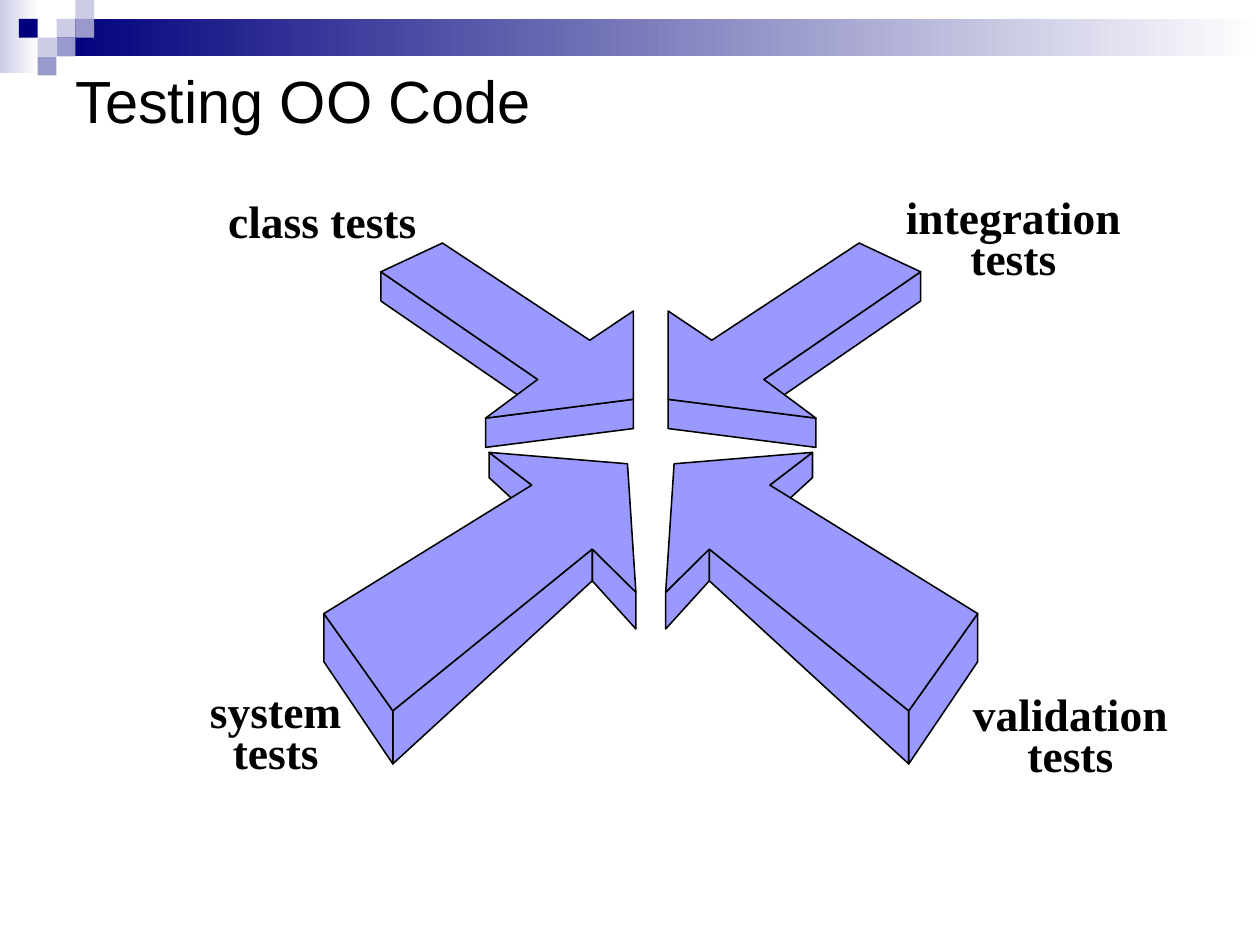
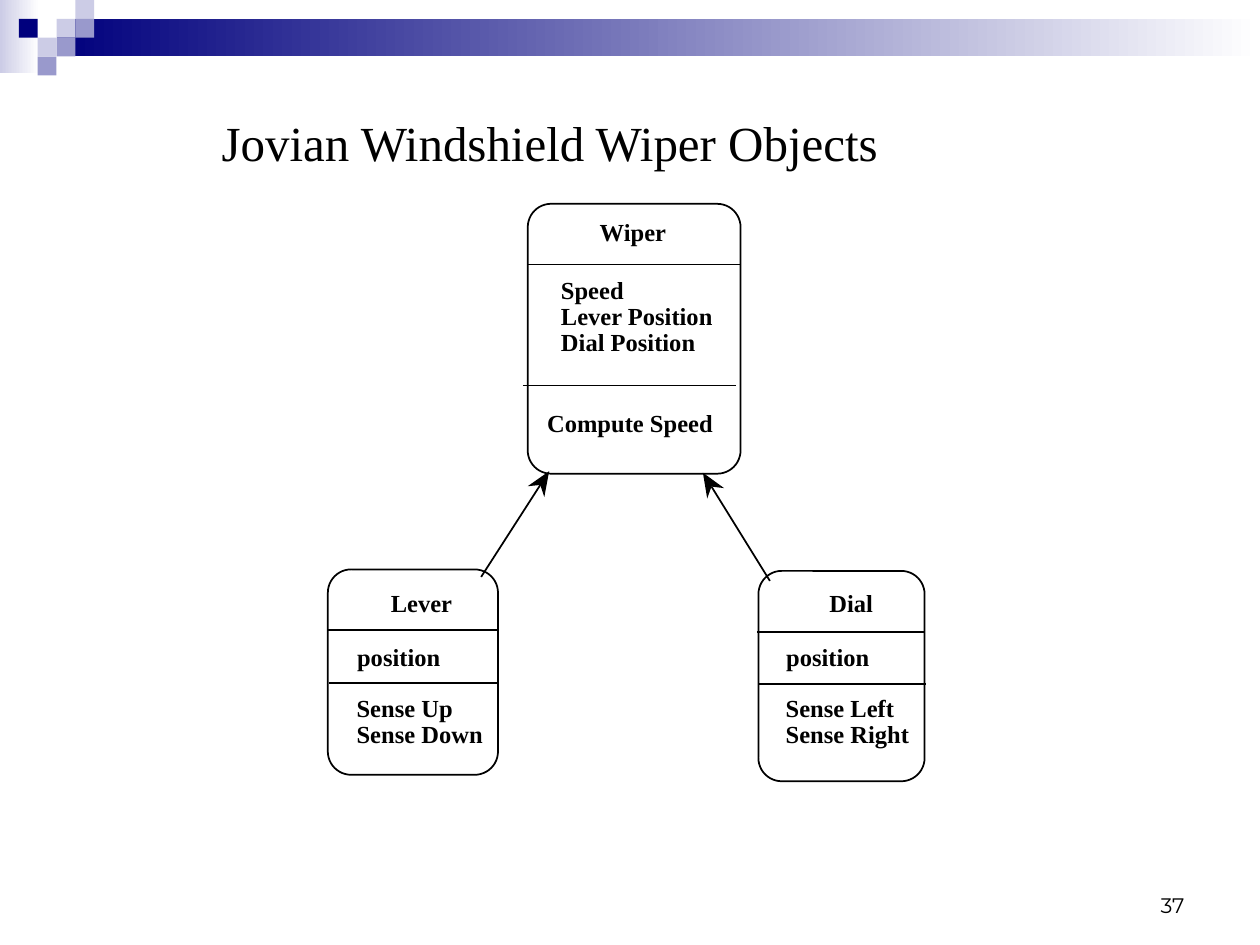
import math

import pptx
import pptx.util
import pptx.dml.color
import pptx.enum.shapes
import pptx.enum.text
import pptx.oxml.ns
import lxml.etree

Cm, Pt = pptx.util.Cm, pptx.util.Pt
SHAPE = pptx.enum.shapes.MSO_SHAPE
ALIGN = pptx.enum.text.PP_ALIGN
ANCHOR = pptx.enum.text.MSO_ANCHOR
qn = pptx.oxml.ns.qn

COLORS = {
    "ink": "000000",
    "paper": "FFFFFF",
    "navy": "00007D",
    "mid": "9999CC",
    "light": "CCCCE6",
    "arrow": "9999FF",
}
SANS, SERIF, NUMBER_FONT = "Arial", "Times New Roman", "Montserrat"

TILE = 0.38
TILES = [  # column, row, colour
    (3, 1, "light"), (4, 0, "light"), (4, 1, "mid"), (2, 2, "light"),
    (1, 1, "navy"), (3, 2, "mid"), (2, 3, "mid"),
]

MIRROR_AXIS = 13.12
# Top face of each left-hand arrow: x, y and the depth of the block there.
UPPER_ARROW = [
    (7.68, 5.48, 0.59), (8.92, 4.9, 0.59), (11.89, 6.86, 0.59),
    (12.77, 6.27, 0.59), (12.77, 8.05, 0.59), (9.79, 8.43, 0.59),
    (10.84, 7.65, 0.59),
]
UPPER_SIDES = [(6, 0), (4, 5)]
LOWER_ARROW = [
    (6.53, 12.37, 0.97), (10.72, 9.78, 0.64), (9.86, 9.12, 0.51),
    (12.65, 9.35, 0.6), (12.82, 11.94, 0.74), (11.94, 11.07, 0.64),
    (7.92, 14.33, 1.07),
]
LOWER_SIDES = [(1, 2), (4, 5), (5, 6), (6, 0)]

HEAD_LENGTH, HEAD_NOTCH, HEAD_HALF_WIDTH = 0.49, 0.33, 0.2


def rgb(name):
    return pptx.dml.color.RGBColor.from_string(COLORS[name])


def paint(sp, fill, line=None, width=1):
    sp.shadow.inherit = False
    sp.fill.solid()
    sp.fill.fore_color.rgb = rgb(fill)
    if line:
        sp.line.color.rgb = rgb(line)
        sp.line.width = Pt(width)
    else:
        sp.line.fill.background()


def add_block(slide, x, y, w, h, fill, line=None, shape=SHAPE.RECTANGLE):
    sp = slide.shapes.add_shape(shape, Cm(x), Cm(y), Cm(w), Cm(h))
    paint(sp, fill, line)
    return sp


def add_fade(slide, x, y, w, h, start):
    """A rectangle that fades from the start colour to paper, left to right."""
    sp = add_block(slide, x, y, w, h, start)
    sp.fill.gradient()
    sp.fill.gradient_angle = 0
    for stop, name, position in zip(sp.fill.gradient_stops, (start, "paper"), (0, 1)):
        stop.color.rgb = rgb(name)
        stop.position = position


def add_text(slide, x, y, w, h, text, size, font, bold=False, align=ALIGN.LEFT,
             anchor=ANCHOR.TOP, inset=(0, 0), spacing=None, wrap=False):
    tf = slide.shapes.add_textbox(Cm(x), Cm(y), Cm(w), Cm(h)).text_frame
    tf.word_wrap = wrap
    tf.vertical_anchor = anchor
    tf.margin_left = tf.margin_right = Cm(inset[0])
    tf.margin_top = tf.margin_bottom = Cm(inset[1])
    tf.text = text
    for p in tf.paragraphs:
        p.alignment = align
        p.line_spacing = spacing
        p.font.size = Pt(size)
        p.font.name = font
        p.font.bold = bold
        p.font.color.rgb = rgb("ink")


def add_line(slide, x1, y1, x2, y2):
    c = slide.shapes.add_connector(
        pptx.enum.shapes.MSO_CONNECTOR.STRAIGHT, Cm(x1), Cm(y1), Cm(x2), Cm(y2))
    c.line.color.rgb = rgb("ink")
    c.line.width = Pt(1)
    lxml.etree.SubElement(c._element.spPr, qn("a:effectLst"))


def add_polygon(slide, points, fill, line=None):
    (x, y), *rest = [(Cm(px), Cm(py)) for px, py in points]
    builder = slide.shapes.build_freeform(x, y)
    builder.add_line_segments(rest, close=True)
    paint(builder.convert_to_shape(), fill, line, 0.88)


def add_arrow(slide, x1, y1, x2, y2):
    """A line that ends in the notch of a swept-back head, whose tip is x2, y2."""
    length = math.hypot(x2 - x1, y2 - y1)
    ux, uy = (x2 - x1) / length, (y2 - y1) / length

    def behind_tip(back, side):
        return x2 - back * ux - side * uy, y2 - back * uy + side * ux

    notch = behind_tip(HEAD_NOTCH, 0)
    add_line(slide, x1, y1, *notch)
    add_polygon(slide, [(x2, y2), behind_tip(HEAD_LENGTH, HEAD_HALF_WIDTH), notch,
                        behind_tip(HEAD_LENGTH, -HEAD_HALF_WIDTH)], "ink")


def add_block_arrow(slide, outline, sides):
    """Draw the visible side faces below the given edges, then the top face."""
    for start, end in sides:
        (x1, y1, d1), (x2, y2, d2) = outline[start], outline[end]
        face = [(x1, y1), (x2, y2), (x2, y2 + d2), (x1, y1 + d1)]
        add_polygon(slide, face, "arrow", "ink")
    add_polygon(slide, [(x, y) for x, y, _ in outline], "arrow", "ink")


def mirrored(outline):
    return [(2 * MIRROR_AXIS - x, y, depth) for x, y, depth in outline]


def add_class_box(slide, x, y, w, h, dividers, texts):
    """Dividers are (shift, y); texts are (x, y, lines) and reach the right edge."""
    sp = add_block(slide, x, y, w, h, "paper", "ink", SHAPE.ROUNDED_RECTANGLE)
    sp.adjustments[0] = 0.47 / min(w, h)
    for shift, line_y in dividers:
        add_line(slide, x + shift, line_y, x + shift + w, line_y)
    for text_x, text_y, lines in texts:
        add_text(slide, text_x, text_y, x + w - text_x, 0.53 * len(lines),
                 "\n".join(lines), 14, SERIF, bold=True, spacing=Pt(15))


def new_slide(prs):
    slide = prs.slides.add_slide(prs.slide_layouts[6])
    add_fade(slide, 0, 0, 0.79, 1.47, "light")
    add_fade(slide, 3 * TILE, TILE, 25.4 - 3 * TILE, 2 * TILE, "navy")
    for column, row, color in TILES:
        add_block(slide, column * TILE, row * TILE, TILE, TILE, color)
    return slide


def build_testing_slide(prs):
    slide = new_slide(prs)
    add_text(slide, 1.27, 1.27, 22.86, 1.47, "Testing OO Code", 34, SANS,
             anchor=ANCHOR.MIDDLE, inset=(0.25, 0.13), wrap=True)
    for outline, sides in ((UPPER_ARROW, UPPER_SIDES), (LOWER_ARROW, LOWER_SIDES)):
        add_block_arrow(slide, outline, sides)
        add_block_arrow(slide, mirrored(outline), sides)
    label = {"size": 26, "font": SERIF, "bold": True, "inset": (0.28, 0.13)}
    add_text(slide, 4.32, 3.77, 5, 1.37, "class tests", **label)
    for center, y, text in (
        (20.43, 3.94, "integration\ntests"),
        (21.58, 13.95, "validation\ntests"),
        (5.56, 13.89, "system\ntests"),
    ):
        add_text(slide, center - 2.75, y, 5.5, 1.93, text,
                 align=ALIGN.CENTER, spacing=0.75, **label)


def build_wiper_slide(prs):
    slide = new_slide(prs)
    add_text(slide, 18.21, 17.36, 5.92, 1.27, "37", 12, NUMBER_FONT,
             align=ALIGN.RIGHT, anchor=ANCHOR.BOTTOM, inset=(0.25, 0.13), wrap=True)
    add_class_box(slide, 10.64, 4.11, 4.29, 5.44, [(0, 5.33), (-0.1, 7.77)], [
        (12.09, 4.43, ["Wiper"]),
        (11.31, 5.6, ["Speed", "Lever Position", "Dial Position"]),
        (11.03, 8.29, ["Compute Speed"]),
    ])
    add_class_box(slide, 6.61, 11.48, 3.43, 4.14, [(0, 12.7), (0.02, 13.77)], [
        (7.88, 11.92, ["Lever"]),
        (7.2, 13.01, ["position"]),
        (7.19, 14.03, ["Sense Up", "Sense Down"]),
    ])
    add_class_box(slide, 15.29, 11.51, 3.35, 4.24, [(-0.02, 12.74), (0.02, 13.79)], [
        (16.72, 11.92, ["Dial"]),
        (15.85, 13.01, ["position"]),
        (15.84, 14.03, ["Sense Left", "Sense Right"]),
    ])
    add_arrow(slide, 9.7, 11.63, 11.07, 9.5)
    add_arrow(slide, 15.52, 11.71, 14.17, 9.53)
    add_text(slide, 4.47, 2.26, 15.75, 1.19, "Jovian Windshield Wiper Objects", 28, SERIF)


def main():
    prs = pptx.Presentation()
    prs.slide_width, prs.slide_height = Cm(25.4), Cm(19.05)
    build_testing_slide(prs)
    build_wiper_slide(prs)
    prs.save("out.pptx")


if __name__ == "__main__":
    main()
